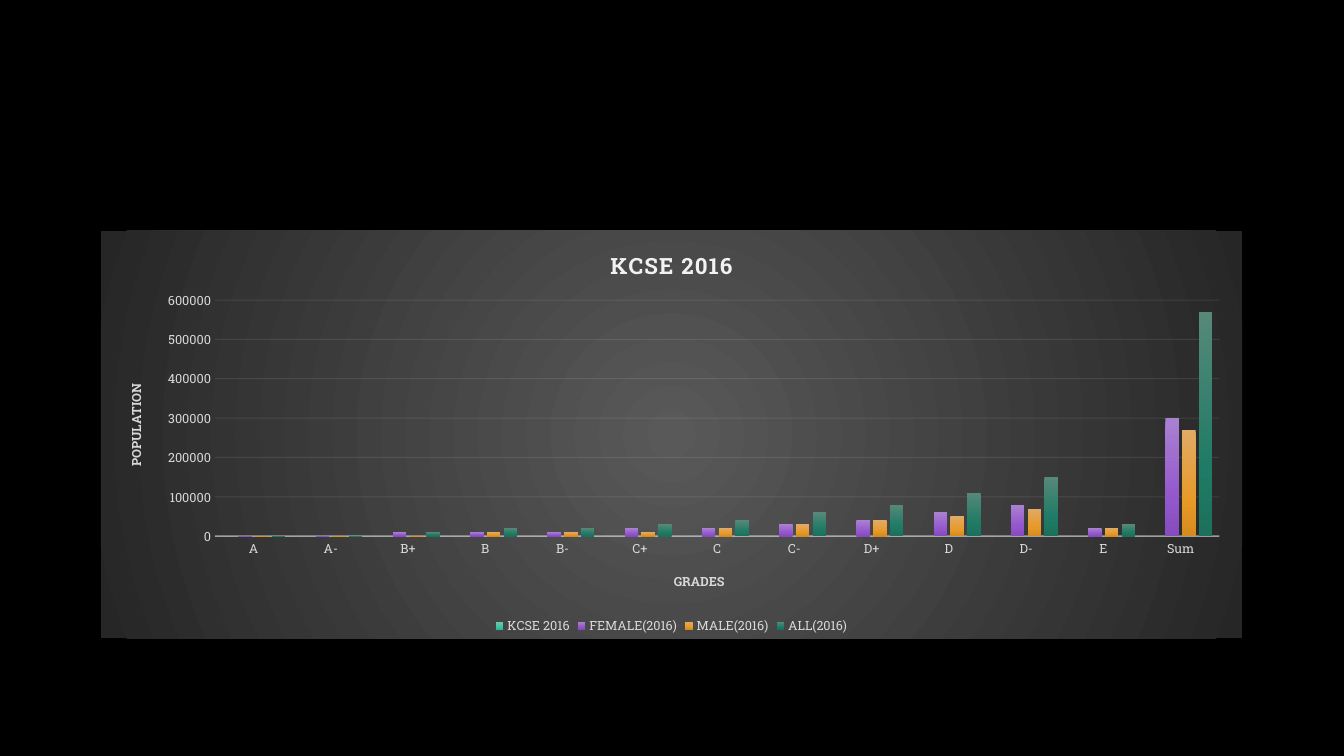
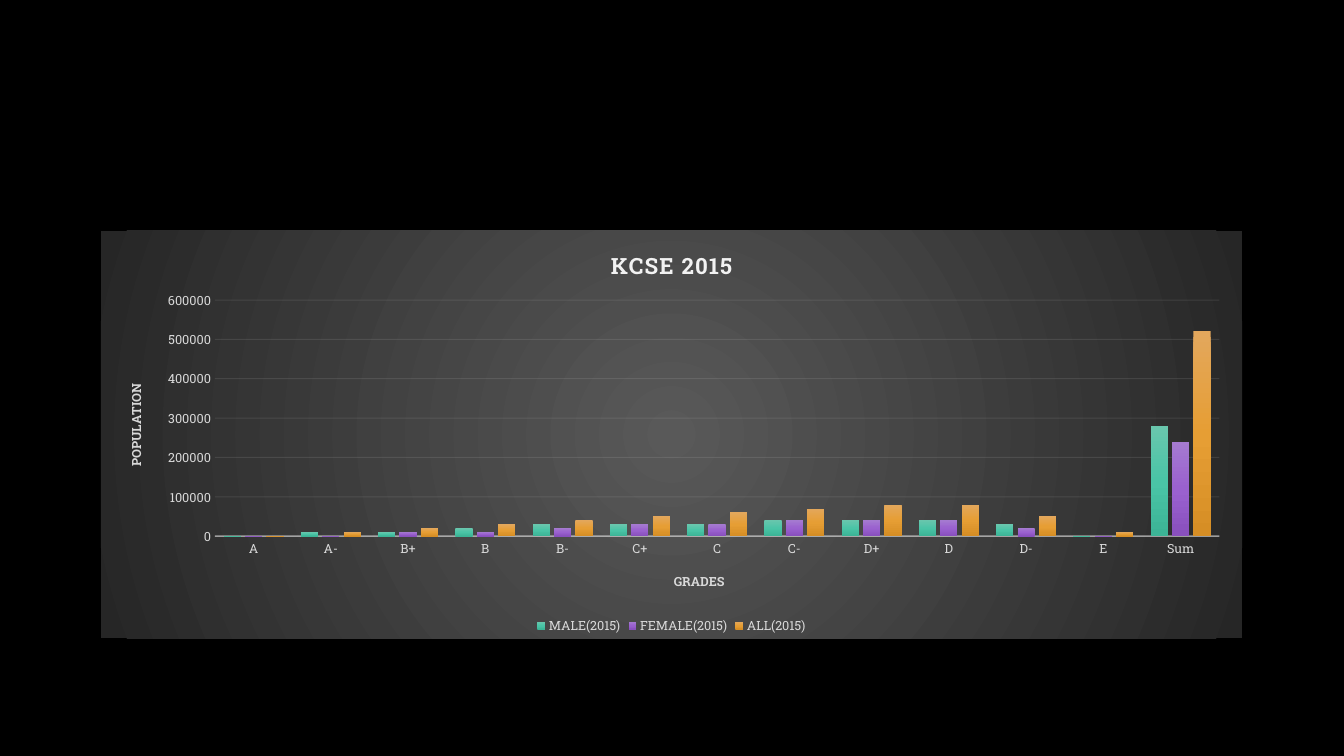
"""Build two slides with clustered column charts of exam grades by gender."""
from lxml import etree
from pptx import Presentation
from pptx.chart.data import CategoryChartData
from pptx.dml.color import RGBColor
from pptx.enum.chart import XL_CHART_TYPE, XL_LEGEND_POSITION, XL_TICK_MARK
from pptx.oxml import parse_xml
from pptx.oxml.ns import nsdecls, qn
from pptx.util import Inches, Pt

COLUMNS = XL_CHART_TYPE.COLUMN_CLUSTERED
BOTTOM = XL_LEGEND_POSITION.BOTTOM
NO_TICK = XL_TICK_MARK.NONE

FONT = "Roboto Slab"
COLORS = {
    "background": "000000",
    "text": "FFFFFF",
    "title": "F2F2F2",
    "label": "D9D9D9",
    "line": "F2F2F2",
}
PANEL_STOPS = [(0, "595959"), (100, "262626")]
GRADES = ["A", "A-", "B+", "B", "B-", "C+", "C", "C-", "D+", "D", "D-", "E", "Sum"]
UNIT = 10000

# Each series: name, values in units of ten thousand, gradient stops.
CHARTS = [
    ("KCSE 2016", [
        ("KCSE 2016", [None] * len(GRADES),
         [(0, "70C6AF"), (69, "3EC4A3"), (100, "37B395")]),
        ("FEMALE(2016)", [0, 0, 1, 1, 1, 2, 2, 3, 4, 6, 8, 2, 30],
         [(0, "A981D1"), (69, "9456CD"), (100, "864BBC")]),
        ("MALE(2016)", [0, 0, 0, 1, 1, 1, 2, 3, 4, 5, 7, 2, 27],
         [(0, "E2AA66"), (69, "E79926"), (100, "D68B1F")]),
        ("ALL(2016)", [0, 0, 1, 2, 2, 3, 4, 6, 8, 11, 15, 3, 57],
         [(0, "57897A"), (69, "1F7B65"), (100, "1C705C")]),
    ]),
    ("KCSE 2015", [
        ("MALE(2015)", [0, 1, 1, 2, 3, 3, 3, 4, 4, 4, 3, 0, 28],
         [(0, "69C6AD"), (50, "4AC4A6"), (100, "3CB496")]),
        ("FEMALE(2015)", [0, 0, 1, 1, 2, 3, 3, 4, 4, 4, 2, 0, 24],
         [(0, "A57AD0"), (50, "9A61CF"), (100, "8950BE")]),
        ("ALL(2015)", [0, 1, 2, 3, 4, 5, 6, 7, 8, 8, 5, 1, 52],
         [(0, "E3A75C"), (50, "E69E34"), (100, "D68E25")]),
    ]),
]


def color(name):
    """Return a named colour."""
    return RGBColor.from_string(COLORS[name])


def gradient(stops, direction):
    """Return a gradient fill element."""
    marks = "".join(
        f'<a:gs pos="{place * 1000}"><a:srgbClr val="{value}"/></a:gs>'
        for place, value in stops)
    return parse_xml(f'<a:gradFill {nsdecls("a")}><a:gsLst>{marks}</a:gsLst>'
                     f'{direction}</a:gradFill>')


def format_font(font, size, name, bold=False):
    """Set the typeface, size, colour and weight of a font."""
    font.name, font.size, font.bold = FONT, Pt(size), bold
    font.color.rgb = color(name)


def place(parent, index, **fractions):
    """Give a chart part a fixed place, in fractions of the chart."""
    for old in parent.findall(qn("c:layout")):
        parent.remove(old)
    layout = parse_xml(f'<c:layout {nsdecls("c")}><c:manualLayout/></c:layout>')
    settings = {"xMode": "edge", "yMode": "edge", **fractions}
    if "w" in fractions:
        settings = {"layoutTarget": "inner", **settings}
    for tag, value in settings.items():
        etree.SubElement(layout[0], qn(f"c:{tag}")).set("val", str(value))
    parent.insert(index, layout)


def write_title(title, text, size=9, name="label", spacing=0, turn=0):
    """Write a bold chart or axis title."""
    para = title.text_frame.paragraphs[0]
    span = para.add_run()
    span.text = text
    format_font(span.font, size, name, bold=True)
    title.element.xpath(".//a:rPr")[0].set("spc", str(spacing))
    body = title.element.xpath(".//a:bodyPr")[0]
    body.set("rot", str(turn * 60000))
    body.set("vert", "horz")


def format_line(line, width, root, query, opacity):
    """Draw a see-through line; the query finds its colour."""
    line.width = Pt(width)
    line.color.rgb = color("line")
    mark = root.xpath(query)[0]
    etree.SubElement(mark, qn("a:alpha")).set("val", str(opacity * 1000))


def format_axes(chart):
    """Format both axes, their titles and the gridlines."""
    root = chart.element
    grades, population = chart.category_axis, chart.value_axis
    for axis in (grades, population):
        axis.major_tick_mark = axis.minor_tick_mark = NO_TICK
        format_font(axis.tick_labels.font, 9, "label")
    grades.has_major_gridlines = False
    population.has_major_gridlines = True
    population.minimum_scale, population.maximum_scale = 0, 600000
    population.major_unit = 100000
    population.format.line.fill.background()
    format_line(grades.format.line, 1, root, ".//c:catAx/c:spPr//a:srgbClr", 54)
    format_line(population.major_gridlines.format.line, 0.75, root,
                ".//c:majorGridlines//a:srgbClr", 10)
    write_title(grades.axis_title, "GRADES")
    write_title(population.axis_title, "POPULATION", turn=-90)
    place(grades.axis_title.element, 1, x=0.5, y=0.83)
    place(population.axis_title.element, 1, x=0.02, y=0.37)


def add_grade_chart(page, title, series):
    """Add one chart of grades to a page."""
    data = CategoryChartData()
    data.categories = GRADES
    for name, values, stops in series:
        data.add_series(name, [None if value is None else value * UNIT
                               for value in values])
    frame = page.shapes.add_chart(COLUMNS, Inches(1), Inches(2.29),
                                  Inches(11.32), Inches(4.04), data)
    chart = frame.chart
    root = chart.element
    format_font(chart.font, 10, "text")
    chart.has_title = True
    write_title(chart.chart_title, title, size=16, name="title", spacing=100)
    chart.has_legend = True
    chart.legend.position = BOTTOM
    chart.legend.include_in_layout = False
    format_font(chart.legend.font, 9, "label")
    plot = chart.plots[0]
    plot.gap_width, plot.overlap, plot.vary_by_categories = 100, -24, False
    format_axes(chart)
    place(root.xpath(".//c:plotArea")[0], 0, x=0.1, y=0.17, w=0.88, h=0.58)

    for bars, (name, values, stops) in zip(root.iter(qn("c:ser")), series):
        bars.get_or_add_spPr().append(gradient(stops, '<a:lin ang="5400000"/>'))
    panel = parse_xml(f'<c:spPr {nsdecls("c", "a")}><a:ln><a:noFill/></a:ln></c:spPr>')
    center = '<a:fillToRect l="50000" t="50000" r="50000" b="50000"/>'
    panel.insert(0, gradient(PANEL_STOPS, f'<a:path path="circle">{center}</a:path>'))
    root.find(qn("c:chart")).addnext(panel)


deck = Presentation()
deck.slide_width, deck.slide_height = Inches(13.33), Inches(7.5)
blank = deck.slide_layouts[6]
master_fill = deck.slide_master.background.fill
master_fill.solid()
master_fill.fore_color.rgb = color("background")
for chart_title, chart_series in CHARTS:
    add_grade_chart(deck.slides.add_slide(blank), chart_title, chart_series)
deck.save("out.pptx")
